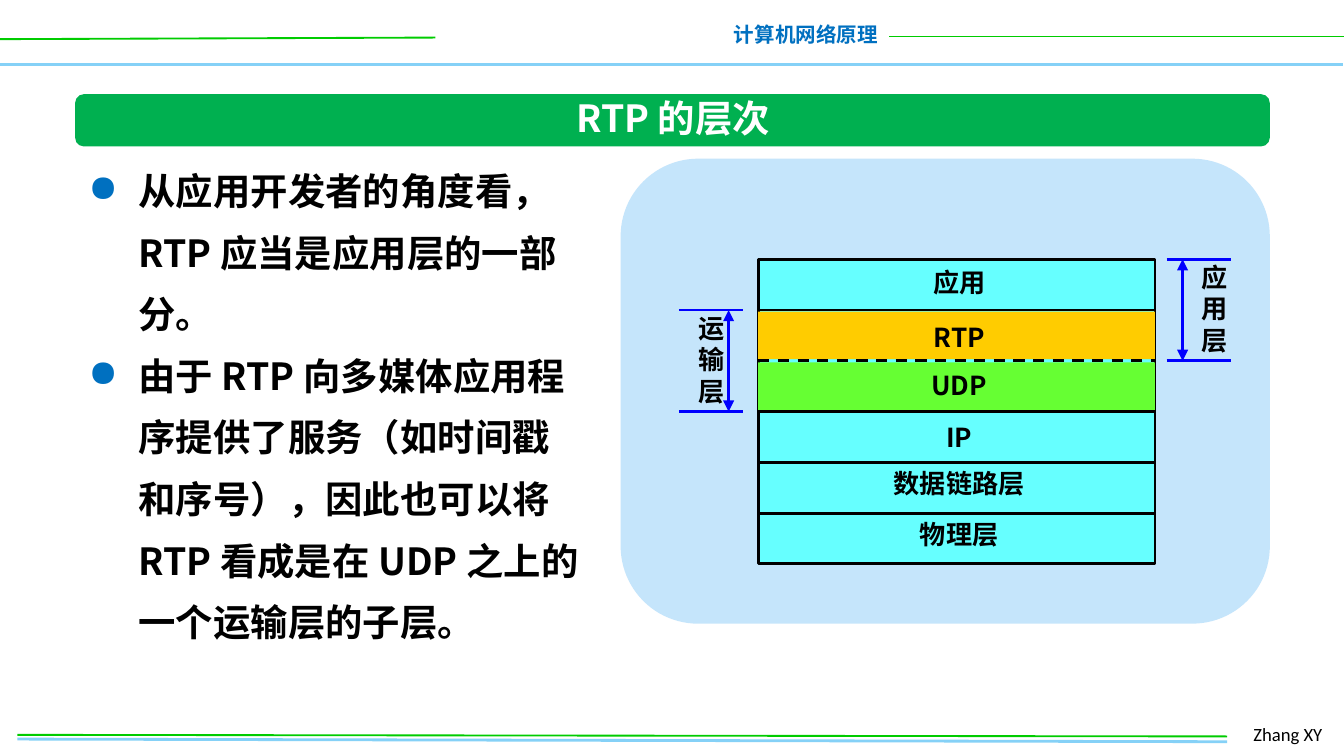
import pptx
import pptx.dml.color
import pptx.enum.dml
import pptx.enum.shapes
import pptx.enum.text
import pptx.oxml
import pptx.oxml.ns
import pptx.util

Cm, Pt = pptx.util.Cm, pptx.util.Pt
ALIGN = pptx.enum.text.PP_ALIGN
ANCHOR = pptx.enum.text.MSO_ANCHOR
SHAPE = pptx.enum.shapes.MSO_SHAPE
CJK_FONT = "Noto Sans CJK SC"
COLORS = {
    "sky": "85D1F7", "leaf": "00CC00", "accent": "0070C0", "banner": "00B050",
    "panel": "C5E5FB", "cyan": "66FFFF", "amber": "FFCC00", "lime": "66FF33",
    "bracket": "0000FF", "black": "000000", "white": "FFFFFF",
}

# Content; lengths in centimetres.
BULLETS = [
    "从应用开发者的角度看，RTP 应当是应用层的一部分。",
    "由于 RTP 向多媒体应用程序提供了服务（如时间戳和序号），"
    "因此也可以将 RTP 看成是在 UDP 之上的一个运输层的子层。",
]
RULES = [  # start x, start y, end x, end y, colour, weight
    (0, 1.22, 25.38, 1.22, "sky", 2),
    (0, 0.74, 8.23, 0.71, "leaf", 1),
    (16.81, 0.69, 25.4, 0.69, "leaf", 1),
    (0.33, 13.97, 23.19, 14.02, "sky", 1.5),
    (0.33, 13.89, 23.19, 13.92, "leaf", 1),
]
LAYERS = [  # label, own fill, label width, label offset within its row
    ("应用", None, 1.5, 0),
    ("RTP", "amber", 1.5, 0.08),
    ("UDP", "lime", 1.63, 0.03),
    ("IP", None, 1.2, 0.05),
    ("数据链路层", None, 3, -0.03),
    ("物理层", None, 2, -0.03),
]
BRACKETS = [  # label, first row, tick left, arrow x, label left, label width
    ("运输层", 1, 12.83, 13.77, 12.95, 0.74),
    ("应用层", 0, 22.05, 22.35, 22.45, 0.66),
]
STACK_LEFT, STACK_TOP, STACK_WIDTH, ROW = 14.33, 4.9, 7.5, 0.96
LABEL_CENTER, LABEL_HEIGHT = 18.13, 0.86
STRIP_GAP = 0.03
BRACKET_ROWS, TICK_WIDTH = 2, 1.22

presentation = pptx.Presentation()
presentation.slide_width, presentation.slide_height = Cm(25.4), Cm(14.29)
slide = presentation.slides.add_slide(presentation.slide_layouts[6])


def rgb(name):
    return pptx.dml.color.RGBColor.from_string(COLORS[name])


def add_element(parent, tag, **attributes):
    element = pptx.oxml.parse_xml(f"<a:{tag} {pptx.oxml.ns.nsdecls('a')}/>")
    for name, value in attributes.items():
        element.set(name, value)
    parent.append(element)


def add_line(x1, y1, x2, y2, color, weight=1.5, dashed=False, arrows=False):
    line = slide.shapes.add_connector(
        pptx.enum.shapes.MSO_CONNECTOR.STRAIGHT, Cm(x1), Cm(y1), Cm(x2), Cm(y2))
    line.line.color.rgb = rgb(color)
    line.line.width = Pt(weight)
    if dashed:
        line.line.dash_style = pptx.enum.dml.MSO_LINE.DASH
    if arrows:
        for end in ("headEnd", "tailEnd"):
            add_element(line.line._get_or_add_ln(), end, type="triangle")
    add_element(line._element.spPr, "effectLst")
    return line


def add_block(kind, left, top, width, height, fill, outlined=False):
    shape = slide.shapes.add_shape(kind, Cm(left), Cm(top), Cm(width), Cm(height))
    shape.shadow.inherit = False
    shape.fill.solid()
    shape.fill.fore_color.rgb = rgb(fill)
    if outlined:
        shape.line.color.rgb = rgb("black")
        shape.line.width = Pt(1.5)
    else:
        shape.line.fill.background()
    return shape


def add_text(texts, left, top, width, height, size, color="black", font=CJK_FONT,
             bold=True, align=ALIGN.CENTER, anchor=ANCHOR.TOP, wrap=False, bulleted=False):
    box = slide.shapes.add_textbox(Cm(left), Cm(top), Cm(width), Cm(height))
    frame = box.text_frame
    frame.word_wrap, frame.vertical_anchor = wrap, anchor
    font_format = {"name": font, "size": Pt(size), "bold": bold}
    for index, text in enumerate(texts):
        paragraph = frame.paragraphs[0] if index == 0 else frame.add_paragraph()
        paragraph.alignment = align
        if bulleted:
            add_bullet(paragraph)
        run = paragraph.add_run()
        run.text = text
        for name, value in font_format.items():
            setattr(run.font, name, value)
        run.font.color.rgb = rgb(color)
        add_element(run._r.get_or_add_rPr(), "ea", typeface=font)


def add_bullet(paragraph):
    paragraph.line_spacing = Pt(33)
    properties = paragraph._p.get_or_add_pPr()
    indent = Cm(0.95)
    properties.set("marL", str(indent))
    properties.set("indent", str(-indent))
    add_element(properties, "buClr")
    add_element(properties[-1], "srgbClr", val=COLORS["accent"])
    add_element(properties, "buChar", char="●")


def row_top(row):
    return STACK_TOP + row * ROW


# Header and footer
for rule in RULES:
    add_line(*rule)
add_text(["计算机网络原理"], 13.61, 0.3, 3.25, 0.74, 11, "accent")
add_text(["Zhang XY"], 23.44, 13.54, 1.88, 0.69, 10, font="Calibri", bold=False,
         align=ALIGN.LEFT, wrap=True)

# Panel, bullets and title
add_block(SHAPE.ROUNDED_RECTANGLE, 11.73, 3, 12.27, 8.79, "panel")
add_text(BULLETS, 1.42, 2.74, 9.91, 9.65, 20, align=ALIGN.LEFT, wrap=True, bulleted=True)
banner = add_block(SHAPE.ROUNDED_RECTANGLE, 1.42, 1.78, 22.58, 0.99, "banner")
banner.adjustments[0] = 0.17
add_text(["RTP 的层次"], 10.49, 1.68, 4.47, 1.12, 20, "white")

# Protocol stack
stack = add_block(SHAPE.RECTANGLE, STACK_LEFT, STACK_TOP, STACK_WIDTH,
                  ROW * len(LAYERS), "cyan", outlined=True)
for row, (label, fill, width, offset) in enumerate(LAYERS):
    if fill:
        add_block(SHAPE.RECTANGLE, STACK_LEFT, row_top(row) + STRIP_GAP,
                  STACK_WIDTH, ROW - 2 * STRIP_GAP, fill)
    if row:
        divider = add_line(STACK_LEFT, row_top(row), STACK_LEFT + STACK_WIDTH,
                           row_top(row), "black", dashed=label == "UDP")
        if row * 2 == len(LAYERS):
            divider.begin_connect(stack, 1)
            divider.end_connect(stack, 3)
    add_text([label], LABEL_CENTER - width / 2, row_top(row) + offset,
             width, LABEL_HEIGHT, 14, anchor=ANCHOR.MIDDLE)

# Brackets beside the stack
for label, first_row, tick_left, arrow_x, label_left, label_width in BRACKETS:
    top, bottom = row_top(first_row), row_top(first_row + BRACKET_ROWS)
    add_line(arrow_x, top, arrow_x, bottom, "bracket", arrows=True)
    for y in (top, bottom):
        add_line(tick_left, y, tick_left + TICK_WIDTH, y, "bracket")
    add_text([label], label_left, top - 0.1, label_width, 2.06, 14,
             anchor=ANCHOR.MIDDLE, wrap=True)

presentation.save("out.pptx")
